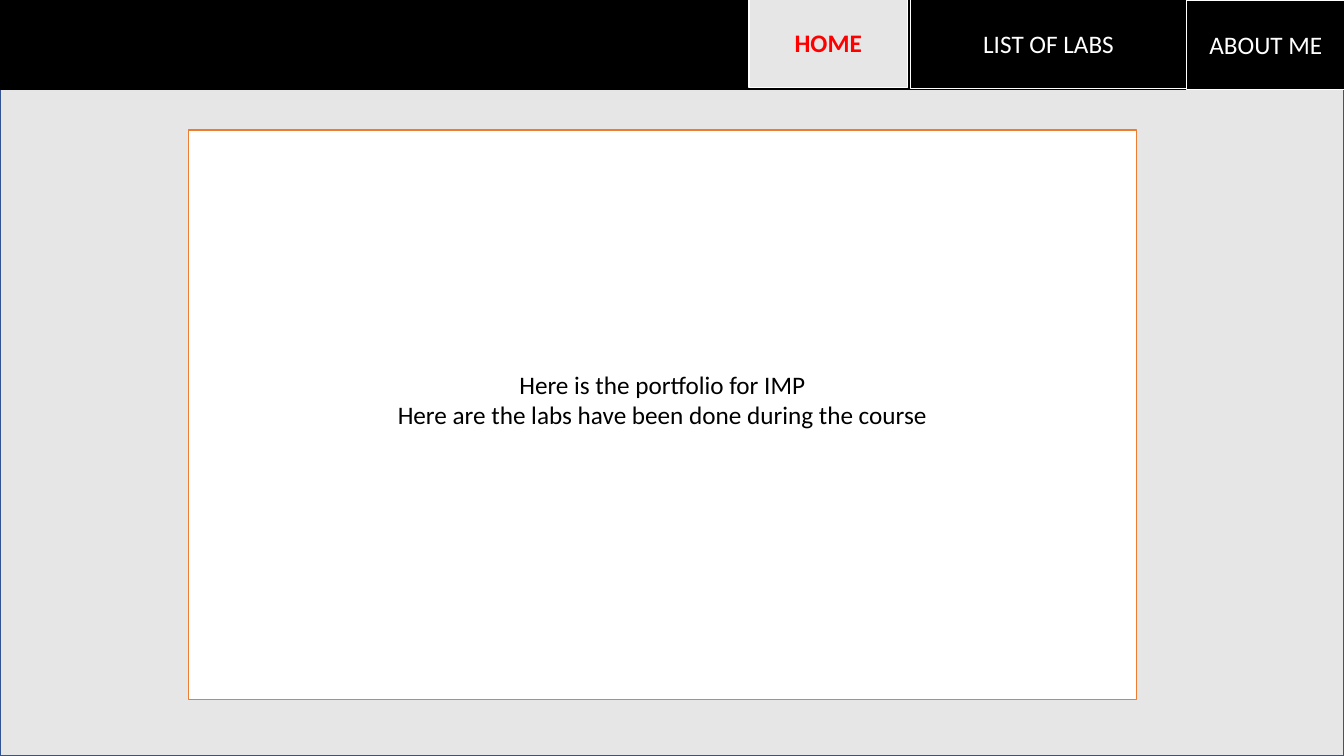
from dataclasses import dataclass

from pptx import Presentation
from pptx.dml.color import RGBColor
from pptx.enum.shapes import MSO_SHAPE
from pptx.enum.text import MSO_ANCHOR, PP_ALIGN
from pptx.util import Emu, Pt

RECTANGLE = MSO_SHAPE.RECTANGLE
MIDDLE = MSO_ANCHOR.MIDDLE
CENTER = PP_ALIGN.CENTER

EMU_PER_PX = 9144  # 100 px to the inch
SLIDE_WIDTH, SLIDE_HEIGHT = 1333, 750
BAR_HEIGHT = 89


@dataclass(frozen=True)
class Theme:
    font: str = "Calibri"
    text_size: int = 18
    line_width: int = 1
    black: str = "000000"
    white: str = "FFFFFF"
    grey: str = "E7E6E6"
    page_border: str = "325491"
    orange: str = "ED7D31"
    active: str = "FF0000"


THEME = Theme()


def px(length):
    return Emu(length * EMU_PER_PX)


def add_panel(slide, box, fill, border):
    panel = slide.shapes.add_shape(RECTANGLE, *map(px, box))
    panel.shadow.inherit = False
    panel.fill.solid()
    panel.fill.fore_color.rgb = RGBColor.from_string(fill)
    panel.line.color.rgb = RGBColor.from_string(border)
    panel.line.width = Pt(THEME.line_width)
    return panel


def write_centred(panel, lines, color, bold=False):
    frame = panel.text_frame
    frame.word_wrap = True
    frame.vertical_anchor = MIDDLE
    frame.text = "\n".join(lines)
    for paragraph in frame.paragraphs:
        paragraph.alignment = CENTER
        paragraph.font.name = THEME.font
        paragraph.font.size = Pt(THEME.text_size)
        paragraph.font.bold = bold
        paragraph.font.color.rgb = RGBColor.from_string(color)


def add_tab(slide, label, left, top, width, active=False):
    fill = THEME.grey if active else THEME.black
    color = THEME.active if active else THEME.white
    tab = add_panel(slide, (left, top, width, BAR_HEIGHT), fill, THEME.white)
    write_centred(tab, [label], color, bold=active)


def add_welcome(slide):
    welcome = add_panel(slide, (187, 129, 940, 565), THEME.white, THEME.orange)
    write_centred(welcome, [
        "Here is the portfolio for IMP",
        "Here are the labs have been done during the course",
    ], THEME.black)
    # Raises the text half a line above the middle
    welcome.text_frame.margin_bottom = px(35)


def main():
    prs = Presentation()
    prs.slide_width, prs.slide_height = px(SLIDE_WIDTH), px(SLIDE_HEIGHT)
    slide = prs.slides.add_slide(prs.slide_layouts[6])

    add_panel(slide, (0, 0, SLIDE_WIDTH, SLIDE_HEIGHT), THEME.grey, THEME.page_border)
    add_panel(slide, (0, 0, SLIDE_WIDTH, BAR_HEIGHT), THEME.black, THEME.black)
    add_tab(slide, "HOME", 743, -2, 157, active=True)
    add_tab(slide, "LIST OF LABS", 903, -1, 274)
    add_tab(slide, "ABOUT ME", 1177, 0, 157)
    add_welcome(slide)

    prs.save("out.pptx")


if __name__ == "__main__":
    main()
